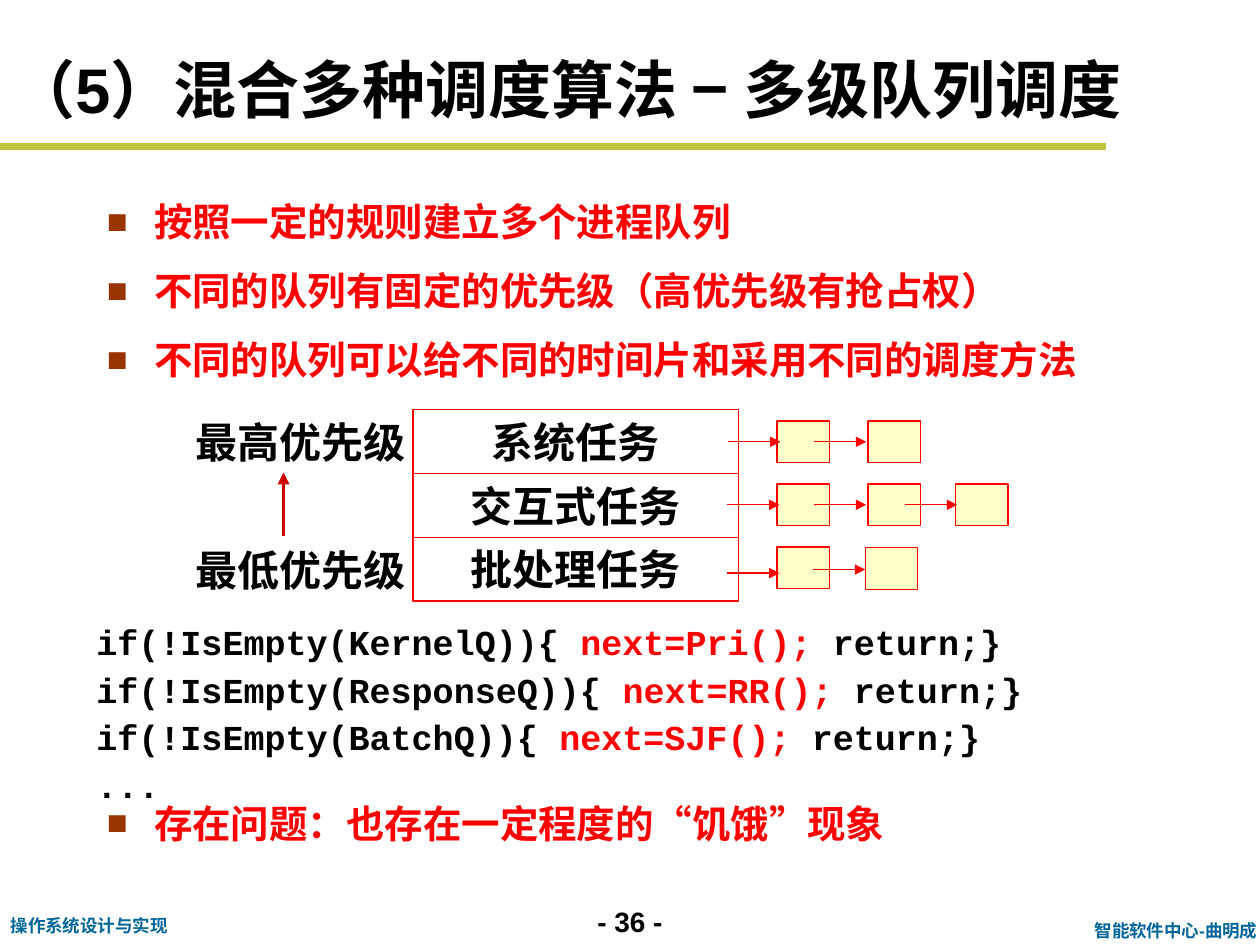
"""Build the slide on multilevel queue scheduling."""
from lxml import etree
from pptx import Presentation
from pptx.dml.color import RGBColor
from pptx.enum.shapes import MSO_CONNECTOR, MSO_SHAPE
from pptx.enum.text import MSO_ANCHOR, PP_ALIGN
from pptx.oxml.ns import qn
from pptx.util import Pt

STRAIGHT = MSO_CONNECTOR.STRAIGHT
RECTANGLE = MSO_SHAPE.RECTANGLE
MIDDLE = MSO_ANCHOR.MIDDLE
LEFT, CENTER = PP_ALIGN.LEFT, PP_ALIGN.CENTER
BLACK = RGBColor(0x00, 0x00, 0x00)
RED = RGBColor(0xFF, 0x00, 0x00)
DARK_RED = RGBColor(0xCC, 0x00, 0x00)
OLIVE = RGBColor(0xC1, 0xC4, 0x3C)
TEAL = RGBColor(0x00, 0x66, 0x99)
CREAM = RGBColor(0xFF, 0xFF, 0xCC)
BULLET_BROWN = "993300"
INDENT = Pt(27)

prs = Presentation()
prs.slide_width, prs.slide_height = Pt(720), Pt(540)
slide = prs.slides.add_slide(prs.slide_layouts[6])
shapes = slide.shapes


def style(paragraph, size, color, align=LEFT, face="Arial"):
    paragraph.alignment = align
    font = paragraph.font
    font.name, font.size, font.bold = face, Pt(size), True
    font.color.rgb = color


def add_line(x1, y1, x2, y2, color, width, arrow=True):
    line = shapes.add_connector(STRAIGHT, Pt(x1), Pt(y1), Pt(x2), Pt(y2))
    line.line.color.rgb = color
    line.line.width = Pt(width)
    if arrow:
        etree.SubElement(line.line._get_or_add_ln(), qn("a:tailEnd"), type="triangle")
    etree.SubElement(line._element.spPr, qn("a:effectLst"))


add_line(0, 84, 632, 84, OLIVE, 4, arrow=False)

labels = [
    ("- 36 -", 324, 513.5, 72, 26.5, 16, BLACK, CENTER),
    ("智能软件中心-曲明成", 615, 522, 114, 19.5, 10, TEAL, CENTER),
    ("操作系统设计与实现", -1, 519, 105, 19.5, 10, TEAL, LEFT),
    ("（5）混合多种调度算法 − 多级队列调度", 0, 24, 720, 53, 36, BLACK, LEFT),
    ("最高优先级", 104.5, 234.5, 134.5, 36, 24, BLACK, LEFT),
    ("最低优先级", 104.5, 307.5, 134.5, 36, 24, BLACK, LEFT),
]
for text, x, y, width, height, size, color, align in labels:
    label = shapes.add_textbox(Pt(x), Pt(y), Pt(width), Pt(height)).text_frame
    label.word_wrap = width == 720
    label.vertical_anchor = MIDDLE
    label.text = text
    style(label.paragraphs[0], size, color, align)

bullet_lists = [
    (102, 582, 138, 1.3, [
        "按照一定的规则建立多个进程队列",
        "不同的队列有固定的优先级（高优先级有抢占权）",
        "不同的队列可以给不同的时间片和采用不同的调度方法",
    ]),
    (453.5, 618, 68.5, 1, ["存在问题：也存在一定程度的“饥饿”现象"]),
]
for top, width, height, spacing, points in bullet_lists:
    body = shapes.add_textbox(Pt(54), Pt(top), Pt(width), Pt(height)).text_frame
    body.word_wrap = True
    body.text = "\n".join(points)
    for i, point in enumerate(body.paragraphs):
        props = point._p.get_or_add_pPr()
        props.set("marL", str(INDENT))
        props.set("indent", str(-INDENT))
        bullet_color = etree.SubElement(props, qn("a:buClr"))
        etree.SubElement(bullet_color, qn("a:srgbClr"), val=BULLET_BROWN)
        etree.SubElement(props, qn("a:buSzPct"), val="90000")
        etree.SubElement(props, qn("a:buFont"), typeface="Arial")
        etree.SubElement(props, qn("a:buChar"), char="■")
        point.line_spacing = spacing
        point.space_before = Pt(5 if i else 0)
        style(point, 22, RED)

queues = [
    ("系统任务", [(444, 240.5), (496, 240.5)], [(416, 252.5), (465, 252.5)]),
    ("交互式任务", [(444, 276.5), (496, 276.5), (546, 276.5)],
     [(415.5, 288.5), (465, 288.5), (517, 288.5)]),
    ("批处理任务", [(444, 312.5), (494.5, 313)], [(415.5, 327.5), (464.5, 325.5)]),
]
for row, (name, tasks, links) in enumerate(queues):
    queue = shapes.add_shape(RECTANGLE, Pt(236), Pt(234 + 36.5 * row), Pt(186), Pt(36.5))
    queue.fill.background()
    queue.text_frame.text = name
    style(queue.text_frame.paragraphs[0], 24, BLACK, CENTER)
    boxes = [queue]
    for x, y in tasks:
        task = shapes.add_shape(RECTANGLE, Pt(x), Pt(y), Pt(30), Pt(24))
        task.fill.solid()
        task.fill.fore_color.rgb = CREAM
        boxes.append(task)
    for box in boxes:
        box.shadow.inherit = False
        box.line.color.rgb = RED
        box.line.width = Pt(0.75)
    for x, y in links:
        add_line(x, y, x + 30, y, RED, 0.75)

code_lines = [
    ("if(!IsEmpty(KernelQ)){ ", "next=Pri();", " return;}"),
    ("if(!IsEmpty(ResponseQ)){ ", "next=RR();", " return;}"),
    ("if(!IsEmpty(BatchQ)){ ", "next=SJF();", " return;}"),
    ("...",),
]
code = shapes.add_textbox(Pt(48), Pt(354), Pt(672), Pt(126)).text_frame
code.word_wrap = True
for i, parts in enumerate(code_lines):
    statement = code.add_paragraph() if i else code.paragraphs[0]
    statement.line_spacing = 0.9
    statement.space_before = Pt(5.5 if i else 0)
    style(statement, 20, BLACK, face="Courier New")
    for part in parts:
        run = statement.add_run()
        run.text = part
        if part.startswith("next"):
            run.font.color.rgb = RED

add_line(162, 306, 162, 270, DARK_RED, 2.25)

prs.save("out.pptx")
